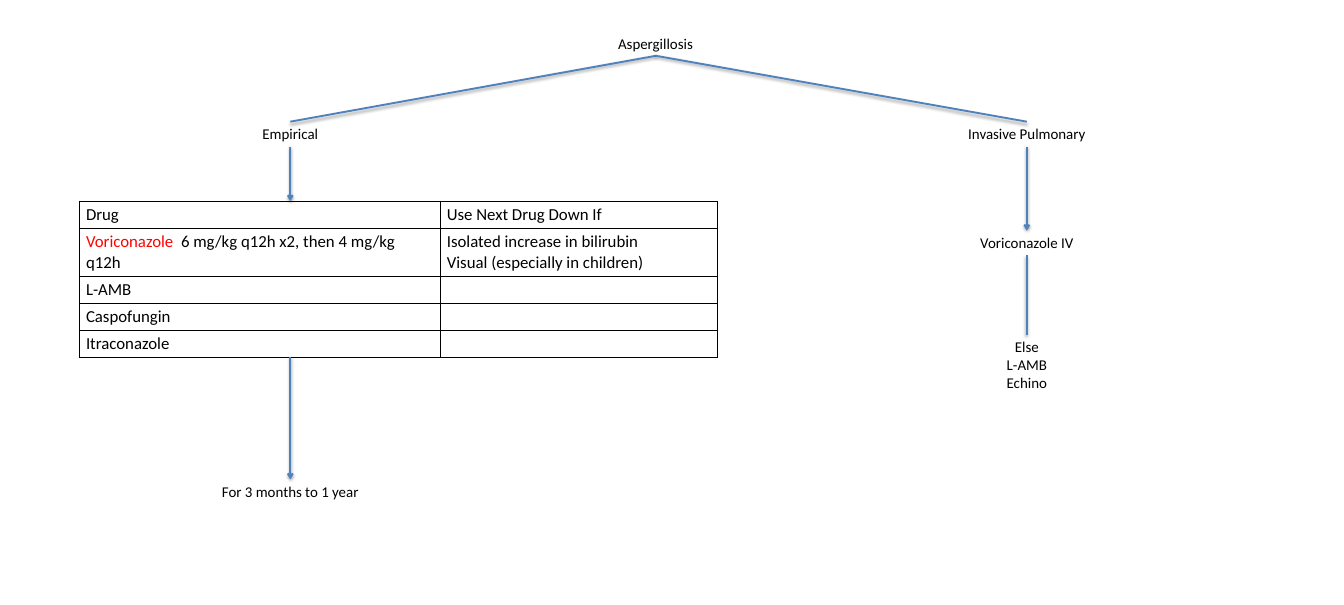
from lxml.etree import SubElement
from pptx import Presentation
from pptx.dml.color import RGBColor
from pptx.enum.shapes import MSO_CONNECTOR
from pptx.enum.text import MSO_ANCHOR, MSO_AUTO_SIZE, PP_ALIGN
from pptx.oxml import parse_xml
from pptx.oxml.ns import nsdecls, qn
from pptx.util import Inches, Pt


def style(font, size, color):
    font.name, font.size, font.bold = "Calibri", Pt(size), False
    font.color.rgb = RGBColor.from_string(color)


def write_label(box, lines):
    frame = box.text_frame
    frame.word_wrap = False
    frame.auto_size = MSO_AUTO_SIZE.NONE
    frame.vertical_anchor = MSO_ANCHOR.TOP
    frame.text = "\n".join(lines)
    for paragraph in frame.paragraphs:
        paragraph.alignment = PP_ALIGN.CENTER
        style(paragraph.font, 16, "000000")


prs = Presentation()
prs.slide_width, prs.slide_height = Inches(20), Inches(9)
slide = prs.slides.add_slide(prs.slide_layouts[5])

empirical_x, root_x, invasive_x = 4.32, 9.76, 15.28
branch_top, branch_bottom = 1.81, 2.18

# Root of the decision tree
root = slide.shapes.title
root.left, root.top = Inches(root_x - 0.67), Inches(0.46)
root.width, root.height = Inches(1.33), Inches(0.37)
write_label(root, ["Aspergillosis"])

# Steps, each centred on its branch
steps = [
    (empirical_x, branch_top, 1.04, 0.37, ["Empirical"]),
    (empirical_x, 7.13, 2.27, 0.37, ["For 3 months to 1 year"]),
    (invasive_x, branch_top, 1.98, 0.37, ["Invasive Pulmonary"]),
    (invasive_x, 3.43, 1.63, 0.37, ["Voriconazole IV"]),
    (invasive_x, 4.98, 0.81, 0.91, ["Else", "L-AMB", "Echino"]),
]
for center, top, width, height, lines in steps:
    step = slide.shapes.add_textbox(
        Inches(center - width / 2), Inches(top), Inches(width), Inches(height))
    write_label(step, lines)

# Empirical drug table
drug_rows = [
    ("Drug", "Use Next Drug Down If"),
    ("Voriconazole  6 mg/kg q12h x2, then 4 mg/kg q12h",
     "Isolated increase in bilirubin\nVisual (especially in children)"),
    ("L-AMB", ""),
    ("Caspofungin", ""),
    ("Itraconazole", ""),
]
drugs = slide.shapes.add_table(
    len(drug_rows), 2, Inches(1.18), Inches(2.99), Inches(9.49), Inches(2.32)).table
drugs.first_row = drugs.horz_banding = False
drugs.columns[0].width, drugs.columns[1].width = Inches(5.37), Inches(4.12)
for r, texts in enumerate(drug_rows):
    drugs.rows[r].height = Inches(0.7 if r == 1 else 0.405)
    for c, text in enumerate(texts):
        cell = drugs.cell(r, c)
        cell.text = text
        cell.fill.background()
        for paragraph in cell.text_frame.paragraphs:
            style(paragraph.font, 18, "000000")
        for i, side in enumerate(("lnL", "lnR", "lnT", "lnB")):
            cell._tc.get_or_add_tcPr().insert(i, parse_xml(
                f'<a:{side} {nsdecls("a")} w="12700"><a:solidFill>'
                f'<a:srgbClr val="000000"/></a:solidFill></a:{side}>'))

# First-choice drug in red, its dose in black
first_choice = drugs.cell(1, 0).text_frame.paragraphs[0]
drug_name = first_choice.runs[0]
dose = first_choice.add_run()
dose.text = drug_name.text.removeprefix("Voriconazole  ")
drug_name.text = "Voriconazole  "
drug_name.font.color.rgb = RGBColor.from_string("FF0000")

# Branches and arrows, with the soft shadow of the theme
links = [
    (root_x, 0.83, empirical_x, branch_top, False),
    (root_x, 0.83, invasive_x, branch_top, False),
    (empirical_x, branch_bottom, empirical_x, 2.99, True),
    (empirical_x, 5.31, empirical_x, 7.13, True),
    (invasive_x, branch_bottom, invasive_x, 3.43, True),
    (invasive_x, 3.8, invasive_x, 4.98, False),
]
for x1, y1, x2, y2, has_arrow in links:
    link = slide.shapes.add_connector(
        MSO_CONNECTOR.STRAIGHT, Inches(x1), Inches(y1), Inches(x2), Inches(y2))
    link.line.color.rgb = RGBColor.from_string("4F81BD")
    link.line.width = Pt(2)
    if has_arrow:
        SubElement(link.line._get_or_add_ln(), qn("a:tailEnd"), type="arrow")

prs.save("out.pptx")
